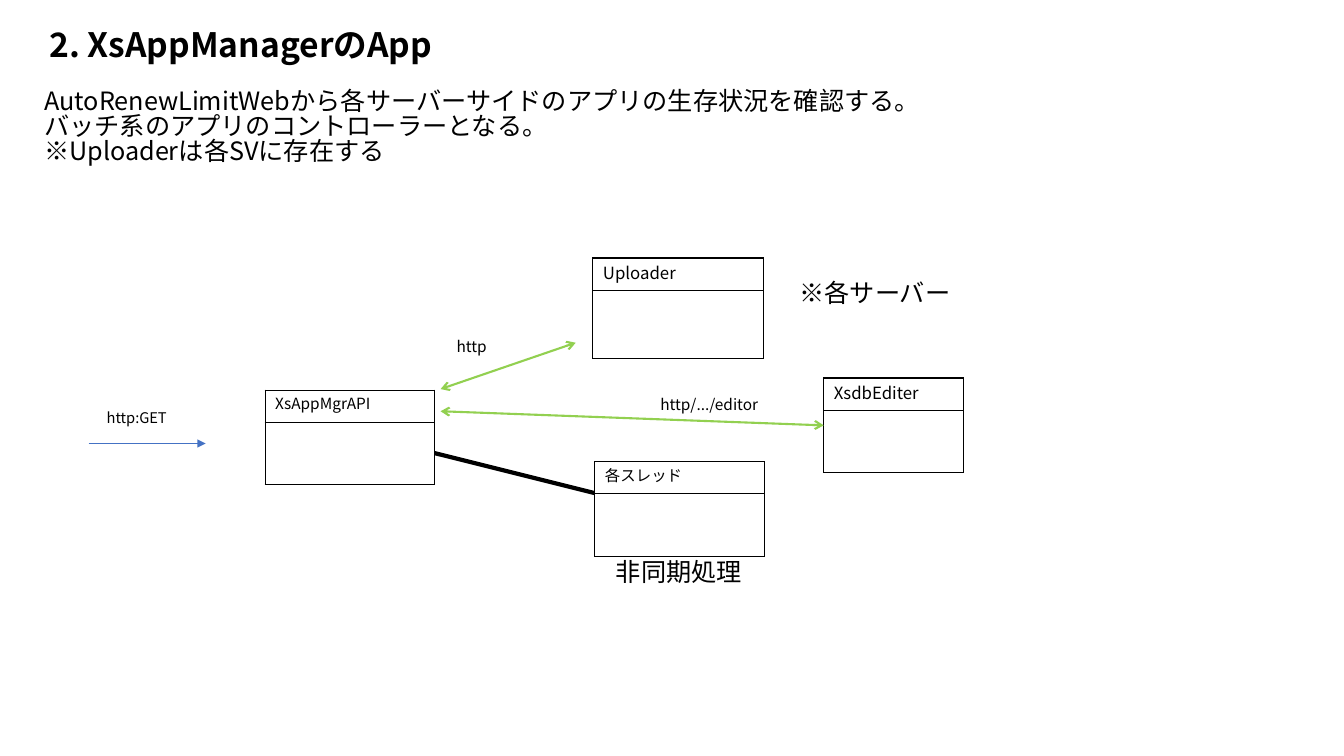
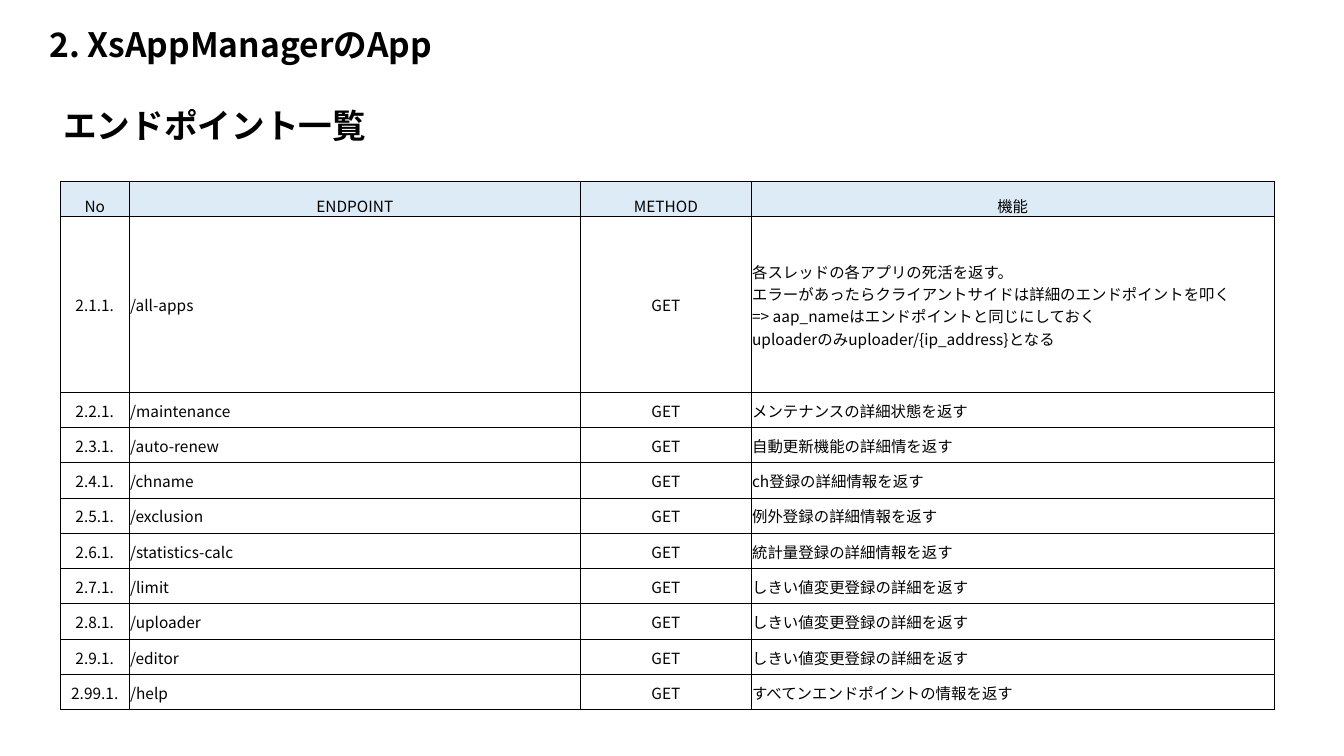
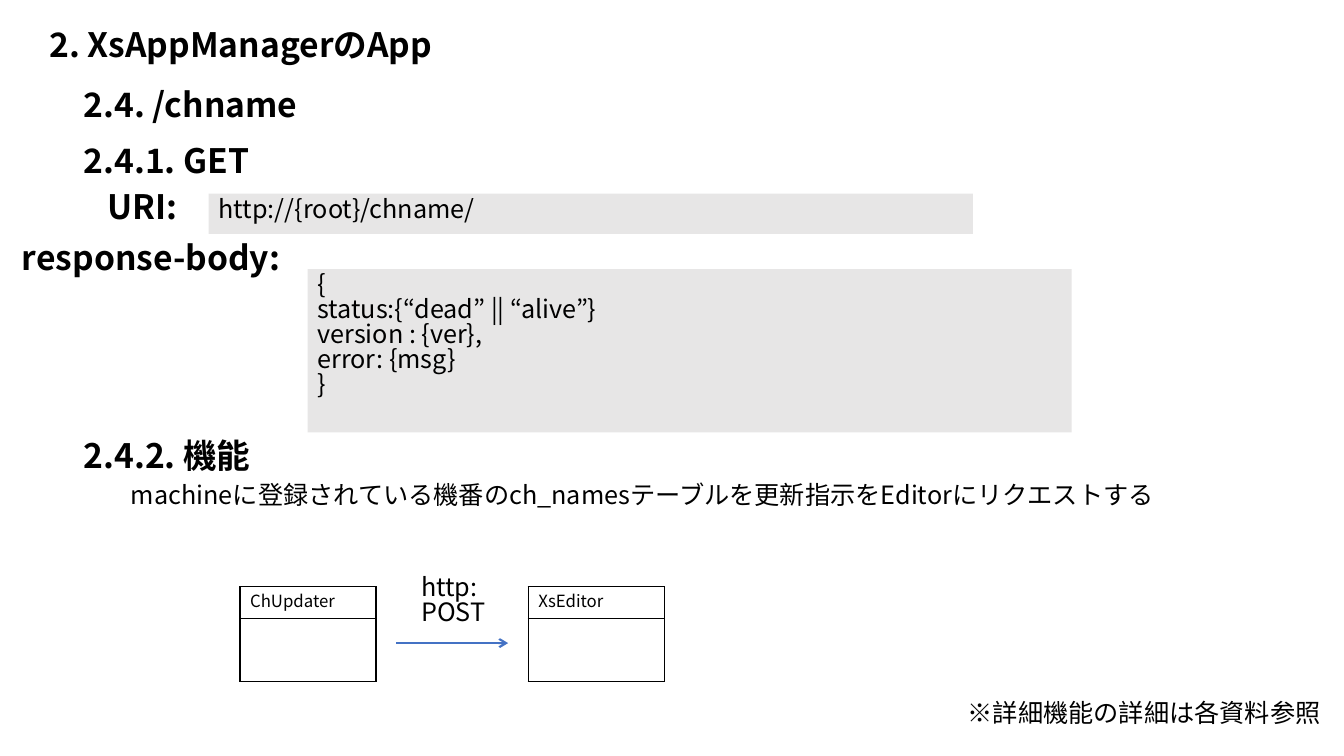
from lxml import etree
from pptx import Presentation
from pptx.dml.color import RGBColor
from pptx.enum import shapes, text
from pptx.oxml import ns
from pptx.util import Inches, Pt

FONT = "Noto Sans CJK JP"
BLACK, WHITE = "000000", "FFFFFF"
GREEN, BLUE = "92D050", "4472C4"
CODE_GRAY, HEADER_BLUE = "E7E6E6", "DDEBF7"
TIGHT = 0.82
LEFT, CENTER = text.PP_ALIGN.LEFT, text.PP_ALIGN.CENTER
TOP, MIDDLE, BOTTOM = (text.MSO_ANCHOR.TOP, text.MSO_ANCHOR.MIDDLE,
                       text.MSO_ANCHOR.BOTTOM)

ENDPOINT_COLUMNS = [("No", 0.68, CENTER), ("ENDPOINT", 4.48, LEFT),
                    ("METHOD", 1.69, CENTER), ("機能", 5.19, LEFT)]
ENDPOINTS = [
    ("2.1.1.", "/all-apps",
     "各スレッドの各アプリの死活を返す。\n"
     "エラーがあったらクライアントサイドは詳細のエンドポイントを叩く\n"
     "=> aap_nameはエンドポイントと同じにしておく\n"
     "uploaderのみuploader/{ip_address}となる"),
    ("2.2.1.", "/maintenance", "メンテナンスの詳細状態を返す"),
    ("2.3.1.", "/auto-renew", "自動更新機能の詳細情を返す"),
    ("2.4.1.", "/chname", "ch登録の詳細情報を返す"),
    ("2.5.1.", "/exclusion", "例外登録の詳細情報を返す"),
    ("2.6.1.", "/statistics-calc", "統計量登録の詳細情報を返す"),
    ("2.7.1.", "/limit", "しきい値変更登録の詳細を返す"),
    ("2.8.1.", "/uploader", "しきい値変更登録の詳細を返す"),
    ("2.9.1.", "/editor", "しきい値変更登録の詳細を返す"),
    ("2.99.1.", "/help", "すべてンエンドポイントの情報を返す"),
]


def color(value):
    return RGBColor.from_string(value)


def add_xml(parent, tag, **attributes):
    return etree.SubElement(parent, ns.qn(tag), attributes)


def write(frame, content, size=18, bold=False, align=LEFT, spacing=TIGHT):
    """Fill a text frame, one paragraph for each line of content."""
    for index, line in enumerate(content.split("\n")):
        paragraph = frame.add_paragraph() if index else frame.paragraphs[0]
        paragraph.alignment = align
        paragraph.line_spacing = spacing
        run = paragraph.add_run()
        run.text = line
        run.font.size = Pt(size)
        run.font.bold = bold
        run.font.name = FONT
        run.font.color.rgb = color(BLACK)
        add_xml(run.font._element, "a:ea", typeface=FONT)


def add_text(slide, content, left, top, width, height, **style):
    box = slide.shapes.add_textbox(Inches(left), Inches(top),
                                   Inches(width), Inches(height))
    box.text_frame.word_wrap = True
    box.text_frame.auto_size = text.MSO_AUTO_SIZE.SHAPE_TO_FIT_TEXT
    write(box.text_frame, content, **style)


def add_heading(slide, content, left, top, width=4.92):
    add_text(slide, content, left, top, width, 0.5, size=24, bold=True)


def add_code(slide, content, left, top, height):
    panel = slide.shapes.add_shape(shapes.MSO_SHAPE.RECTANGLE, Inches(left),
                                   Inches(top), Inches(7.58), Inches(height))
    panel.shadow.inherit = False
    panel.fill.solid()
    panel.fill.fore_color.rgb = color(CODE_GRAY)
    panel.line.fill.background()
    panel.text_frame.word_wrap = True
    panel.text_frame.vertical_anchor = TOP
    write(panel.text_frame, content)


def add_line(slide, start, end, stroke, width, head=None, tail=None):
    line = slide.shapes.add_connector(shapes.MSO_CONNECTOR.STRAIGHT,
                                      *map(Inches, start + end))
    line.line.color.rgb = color(stroke)
    line.line.width = Pt(width)
    outline = line.line._get_or_add_ln()
    for tag, kind in (("a:headEnd", head), ("a:tailEnd", tail)):
        if kind:
            add_xml(outline, tag, type=kind)
    add_xml(line._element.spPr, "a:effectLst")


def add_grid(slide, left, top, widths, heights):
    """Add an unstyled table with the given column widths and row heights."""
    table = slide.shapes.add_table(
        len(heights), len(widths), Inches(left), Inches(top),
        Inches(sum(widths)), Inches(sum(heights))).table
    table.first_row = table.horz_banding = False
    for column, width in zip(table.columns, widths):
        column.width = Inches(width)
    for row, height in zip(table.rows, heights):
        row.height = Inches(height)
    return table


def format_cell(cell, border, fill=WHITE):
    properties = cell._tc.get_or_add_tcPr()
    for tag in ("a:lnL", "a:lnR", "a:lnT", "a:lnB"):
        edge = add_xml(properties, tag, w=str(Pt(border)))
        add_xml(add_xml(edge, "a:solidFill"), "a:srgbClr", val=BLACK)
    cell.fill.solid()
    cell.fill.fore_color.rgb = color(fill)


def add_component(slide, name, left, top, width, height=0.94, size=12):
    """Add a two-part box with a name above an empty body."""
    table = add_grid(slide, left, top, [width], [0.32, height - 0.32])
    for cell in table.iter_cells():
        format_cell(cell, border=1)
    write(table.cell(0, 0).text_frame, name, size=size)


def add_endpoint_table(slide, left, top):
    names, widths, aligns = zip(*ENDPOINT_COLUMNS)
    rows = [names] + [(number, endpoint, "GET", purpose)
                      for number, endpoint, purpose in ENDPOINTS]
    heights = [1.74 if "\n" in row[-1] else 0.35 for row in rows]
    table = add_grid(slide, left, top, widths, heights)
    for r, row in enumerate(rows):
        for c, content in enumerate(row):
            cell = table.cell(r, c)
            format_cell(cell, border=0.5, fill=WHITE if r else HEADER_BLUE)
            cell.margin_left = cell.margin_right = Inches(0.01)
            cell.margin_top, cell.margin_bottom = Inches(0.01), 0
            cell.vertical_anchor = MIDDLE if r else BOTTOM
            write(cell.text_frame, content, size=11, spacing=1.0,
                  align=aligns[c] if r else CENTER)


def new_slide(deck):
    slide = deck.slides.add_slide(deck.slide_layouts[6])
    add_heading(slide, "2. XsAppManagerのApp", 0.39, 0.26)
    return slide


def build_overview(slide):
    add_text(slide,
             "AutoRenewLimitWebから各サーバーサイドのアプリの生存状況を確認する。\n"
             "バッチ系のアプリのコントローラーとなる。\n"
             "※Uploaderは各SVに存在する", 0.34, 0.85, 8.95, 1.01)
    add_text(slide, "非同期処理", 6.01, 5.52, 2.17, 0.4)
    add_line(slide, (4.13, 4.45), (6.85, 5.13), BLACK, 3)
    add_component(slide, "XsAppMgrAPI", 2.63, 3.87, 1.68, size=11)
    add_component(slide, "各スレッド", 5.9, 4.58, 1.68, size=11)
    add_component(slide, "Uploader", 5.88, 2.56, 1.69, height=1)
    add_component(slide, "XsdbEditer", 8.17, 3.75, 1.39)
    for start, end in (((4.37, 3.86), (5.71, 3.4)),
                       ((4.37, 4.08), (8.17, 4.22))):
        add_line(slide, start, end, GREEN, 1.5, head="arrow", tail="arrow")
    add_text(slide, "http", 4.43, 3.33, 1.78, 0.29, size=11)
    add_text(slide, "http/.../editor", 6.45, 3.9, 1.78, 0.29, size=11)
    add_line(slide, (0.88, 4.4), (2.04, 4.4), BLUE, 0.5, tail="triangle")
    add_text(slide, "http:GET", 0.96, 4.04, 1.37, 0.28, size=10.5)
    add_text(slide, "※各サーバー", 7.83, 2.76, 2.61, 0.4)


def build_endpoints(slide):
    add_heading(slide, "エンドポイント一覧", 0.53, 1.06)
    add_endpoint_table(slide, 0.6, 1.8)


def build_chname(slide):
    add_heading(slide, "2.4. /chname", 0.73, 0.85)
    add_heading(slide, "2.4.1. GET", 0.73, 1.41, 6.88)
    add_heading(slide, "URI:", 0.97, 1.87, 1.1)
    add_code(slide, "http://{root}/chname/", 2.07, 1.92, 0.4)
    add_heading(slide, "response-body:", 0.12, 2.37, 3.3)
    add_code(slide, "{\nstatus:{“dead” || “alive”}\nversion : {ver},\n"
                    "error: {msg}\n}", 3.05, 2.67, 1.62)
    add_heading(slide, "2.4.2. 機能", 0.73, 4.34, 6.88)
    add_text(slide, "machineに登録されている機番のch_namesテーブルを"
                    "更新指示をEditorにリクエストする", 1.2, 4.76, 10.63, 0.4)
    add_component(slide, "ChUpdater", 2.38, 5.82, 1.35)
    add_line(slide, (3.93, 6.38), (5.04, 6.38), BLUE, 1.5, tail="arrow")
    add_component(slide, "XsEditor", 5.24, 5.82, 1.35)
    add_text(slide, "http:POST", 4.08, 5.67, 0.88, 0.71)
    add_text(slide, "※詳細機能の詳細は各資料参照", 9.5, 6.92, 3.83, 0.4)


def main():
    deck = Presentation()
    deck.slide_width, deck.slide_height = Inches(13.33), Inches(7.5)
    for build in (build_overview, build_endpoints, build_chname):
        build(new_slide(deck))
    deck.save("out.pptx")


if __name__ == "__main__":
    main()
